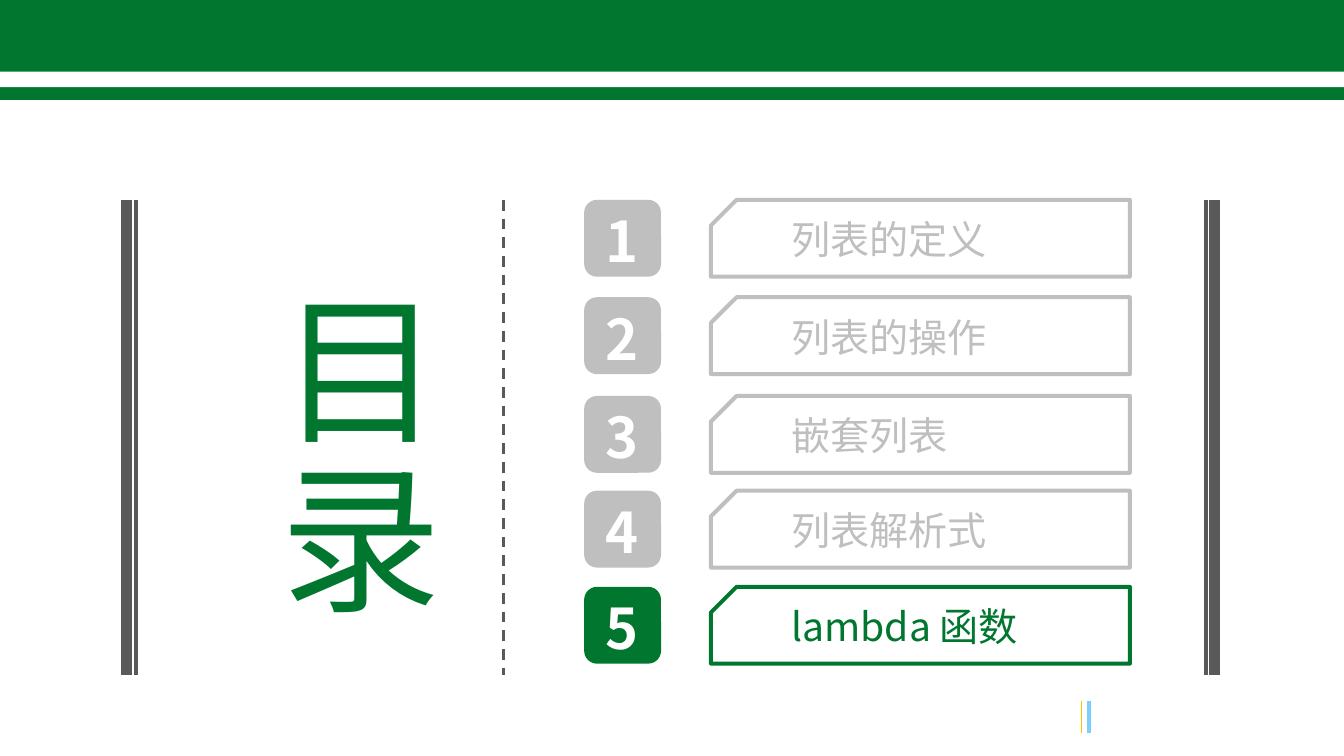
import pptx
import pptx.util
import pptx.dml.color
import pptx.enum.dml
import pptx.enum.shapes
import pptx.enum.text
import pptx.oxml
import pptx.oxml.ns

SCALE = 9144
FONT = "Noto Sans CJK SC"
HUES = {
    "green": "00762F",
    "grey": "BFBFBF",
    "dark": "595959",
    "white": "FFFFFF",
    "blue": "7DCDFF",
    "gold": "FFC000",
}
KINDS = pptx.enum.shapes.MSO_SHAPE
ALIGN = pptx.enum.text.PP_ALIGN
ANCHOR = pptx.enum.text.MSO_ANCHOR


def px(*sizes):
    return [pptx.util.Emu(size * SCALE) for size in sizes]


def paint(color, hue):
    color.rgb = pptx.dml.color.RGBColor.from_string(HUES[hue])


def write(frame, text, size, hue, bold=False, align=ALIGN.LEFT, space=0):
    para = frame.paragraphs[0]
    para.alignment = align
    run = para.add_run()
    run.text = text
    run.font.size = pptx.util.Pt(size)
    run.font.bold = bold
    run.font.name = FONT
    paint(run.font.color, hue)
    props = run.font._element
    if space:
        props.set("spc", str(space))
    face = pptx.oxml.parse_xml(f'<a:ea {pptx.oxml.ns.nsdecls("a")} typeface="{FONT}"/>')
    props.find(pptx.oxml.ns.qn("a:latin")).addnext(face)


class Board:
    def __init__(self, deck):
        self.shapes = deck.slides.add_slide(deck.slide_layouts[6]).shapes

    def block(self, kind, box, fill=None, line=None, weight=2.25):
        shape = self.shapes.add_shape(kind, *px(*box))
        shape.shadow.inherit = False
        if fill:
            shape.fill.solid()
            paint(shape.fill.fore_color, fill)
        else:
            shape.fill.background()
        if line:
            paint(shape.line.color, line)
            shape.line.width = pptx.util.Pt(weight)
        else:
            shape.line.fill.background()
        return shape

    def frame(self, box, line):
        shape = self.block(KINDS.SNIP_1_RECTANGLE, box, line=line)
        shape.adjustments[0] = 0.333
        shape._element.spPr.xfrm.set("flipH", "1")

    def rule(self, x, top, end, hue, weight, dash=None):
        straight = pptx.enum.shapes.MSO_CONNECTOR.STRAIGHT
        line = self.shapes.add_connector(straight, *px(x, top, x, end))
        paint(line.line.color, hue)
        line.line.width = pptx.util.Pt(weight)
        if dash:
            line.line.dash_style = dash
        blank = pptx.oxml.parse_xml(f'<a:effectLst {pptx.oxml.ns.nsdecls("a")}/>')
        line._element.spPr.append(blank)

    def label(self, box, text, anchor=ANCHOR.MIDDLE, inset=0, turn=None, **style):
        frame = self.shapes.add_textbox(*px(*box)).text_frame
        frame.word_wrap = True
        frame.vertical_anchor = anchor
        frame.margin_left = frame.margin_right = px(inset)[0]
        frame.margin_top = frame.margin_bottom = 0
        if turn:
            frame._element.bodyPr.set("vert", turn)
        write(frame, text, **style)


def main():
    deck = pptx.Presentation()
    deck.slide_width, deck.slide_height = px(1049, 590)
    board = Board(deck)

    board.rule(850, 547, 572, "blue", 2.25)
    board.rule(844, 547, 572, "gold", 0.5)

    board.label((171, 225, 182, 280), "目录", anchor=ANCHOR.TOP, turn="eaVert",
                size=90.5, hue="green", space=470)

    for x, weight in ((99, 6), (106, 2.25), (941, 2.25), (948, 6)):
        board.rule(x, 156, 527, "dark", weight)
    board.rule(393, 156, 527, "dark", 1.5, pptx.enum.dml.MSO_LINE.DASH)

    tops = (156, 232, 309, 383, 458)
    names = ("列表的定义", "列表的操作", "嵌套列表", "列表解析式", "lambda 函数")
    for num, (top, name) in enumerate(zip(tops, names), 1):
        hue = "green" if num == len(names) else "grey"
        board.block(KINDS.ROUNDED_RECTANGLE, (456, top, 60, 60), fill=hue)
        board.label((463, top, 45, 63), str(num), size=31.5, hue="white",
                    bold=True, align=ALIGN.CENTER)
        board.label((608, top + 7, 296, 47), name, inset=10, size=22, hue=hue)
        board.frame((555, top, 327, 60), hue)

    board.block(KINDS.RECTANGLE, (0, 0, 1049, 78), fill="green")
    board.block(KINDS.RECTANGLE, (0, 56, 1049, 12), fill="white")
    deck.save("out.pptx")


if __name__ == "__main__":
    main()
